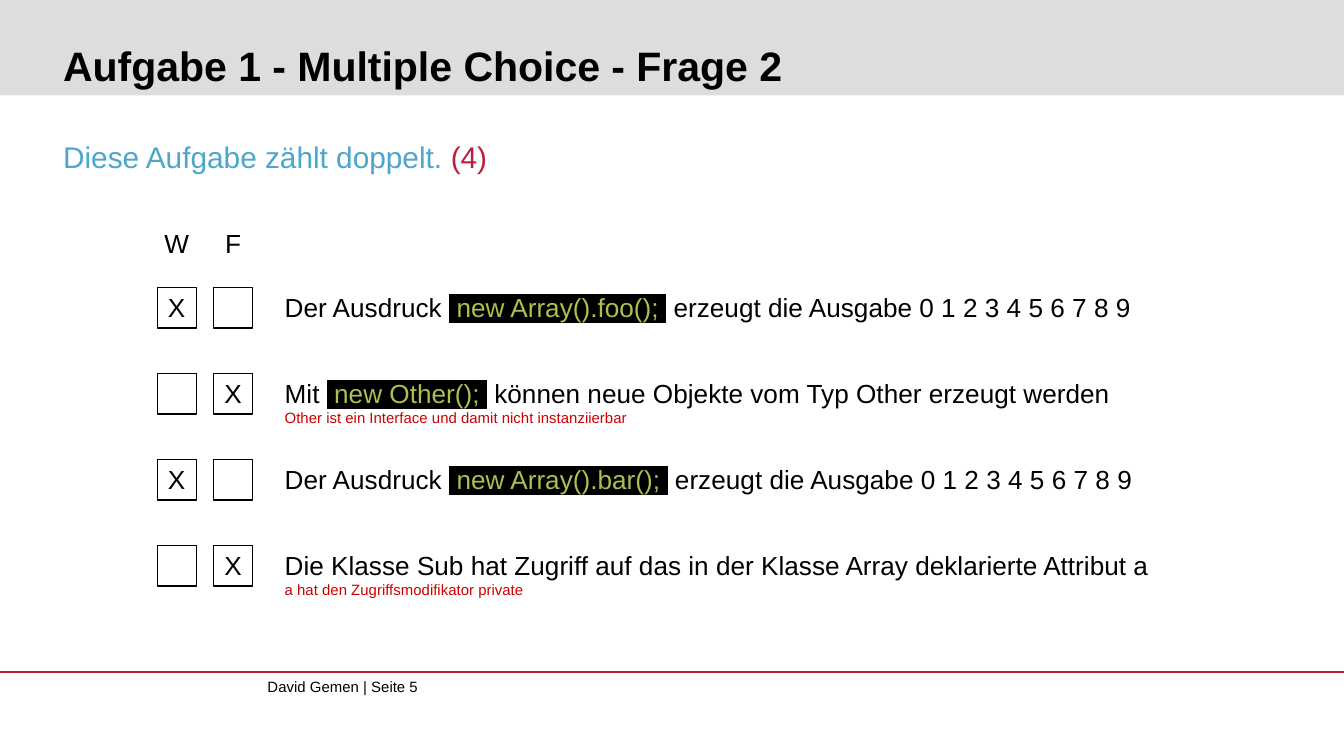
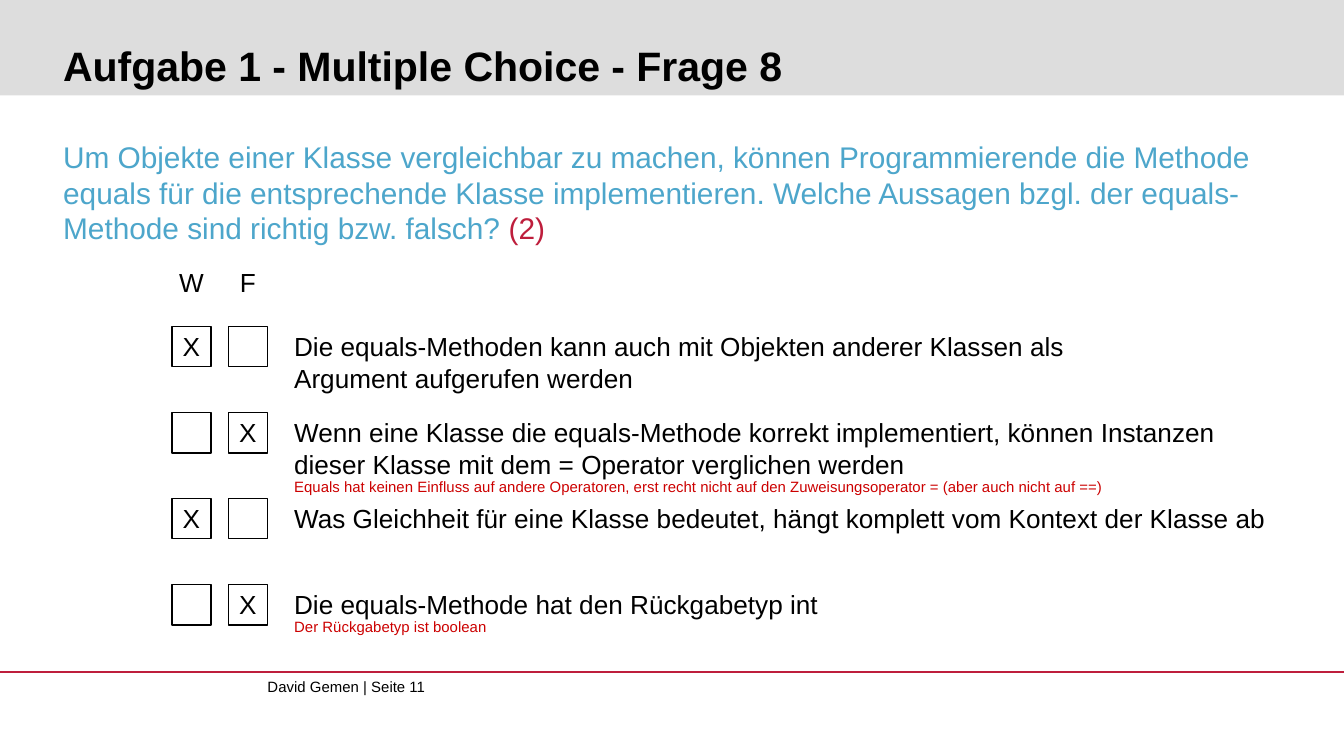
from dataclasses import dataclass

from lxml import etree
from pptx import Presentation
from pptx.dml.color import RGBColor
from pptx.enum import shapes, text
from pptx.oxml import ns
from pptx.util import Inches, Pt

FONT = "Arial"
BLACK = RGBColor(0x00, 0x00, 0x00)
BAND_GREY = RGBColor(0xDD, 0xDD, 0xDD)
CRIMSON = RGBColor(0xBE, 0x1E, 0x3C)
SKY = RGBColor(0x4D, 0xA6, 0xCB)
CODE_GREEN = RGBColor(0xAD, 0xBF, 0x4D)
NOTE_RED = RGBColor(0xCC, 0x00, 0x00)

PAGE_WIDTH = Inches(10)
PAGE_HEIGHT = PAGE_WIDTH * 9 // 16
ROW_STEP = 0.64
COLUMN_STEP = 0.42
BOX_WIDTH, BOX_HEIGHT = 0.29, 0.3


@dataclass(frozen=True)
class Span:
    text: str
    color: RGBColor = BLACK
    marked: bool = False


@dataclass(frozen=True)
class Answer:
    spans: list[Span]
    correct: bool
    width: float
    height: float = 0.44
    note: str = ""
    note_offset: float = 0.26


@dataclass(frozen=True)
class Question:
    number: int
    page_number: int
    prompt: str
    points: int
    box_left: float
    text_left: float
    first_row: float
    note_width: float
    answers: list[Answer]


def code(source: str) -> Span:
    return Span(f" {source} ", CODE_GREEN, True)


QUESTIONS = [
    Question(2, 5, "Diese Aufgabe zählt doppelt. ", 4, 1.17, 2.02, 2.07, 4.07, [
        Answer([Span("Der Ausdruck "), code("new Array().foo();"),
                Span(" erzeugt die Ausgabe 0 1 2 3 4 5 6 7 8 9")], True, 6.77),
        Answer([Span("Mit "), code("new Other();"),
                Span(" können neue Objekte vom Typ Other erzeugt werden")],
               False, 6.47,
               note="Other ist ein Interface und damit nicht instanziierbar"),
        Answer([Span("Der Ausdruck "), code("new Array().bar();"),
                Span(" erzeugt die Ausgabe 0 1 2 3 4 5 6 7 8 9")], True, 6.77),
        Answer([Span("Die Klasse Sub hat Zugriff auf das in der Klasse Array "
                     "deklarierte Attribut a")], False, 6.94,
               note="a hat den Zugriffsmodifikator private"),
    ]),
    Question(8, 11, "Um Objekte einer Klasse vergleichbar zu machen, können "
             "Programmierende die Methode equals für die entsprechende Klasse "
             "implementieren. Welche Aussagen bzgl. der equals-Methode sind "
             "richtig bzw. falsch? ", 2, 1.28, 2.09, 2.36, 7.08, [
        Answer([Span("Die equals-Methoden kann auch mit Objekten anderer "
                     "Klassen als Argument aufgerufen werden")],
               True, 6.77, 0.67),
        Answer([Span("Wenn eine Klasse die equals-Methode korrekt "
                     "implementiert, können Instanzen dieser Klasse mit dem "
                     "= Operator verglichen werden")], False, 7.3, 0.67,
               "Equals hat keinen Einfluss auf andere Operatoren, erst recht "
               "nicht auf den Zuweisungsoperator = (aber auch nicht auf ==)",
               0.49),
        Answer([Span("Was Gleichheit für eine Klasse bedeutet, hängt komplett "
                     "vom Kontext der Klasse ab")], True, 7.54),
        Answer([Span("Die equals-Methode hat den Rückgabetyp int")],
               False, 6.94, note="Der Rückgabetyp ist boolean",
               note_offset=0.25),
    ]),
]


def write_spans(para, spans: list[Span], size: float, bold: bool = False) -> None:
    for span in spans:
        run = para.add_run()
        run.text = span.text
        run.font.size = Pt(size)
        run.font.bold = bold
        run.font.name = FONT
        run.font.color.rgb = span.color
        if span.marked:
            highlight = etree.Element(ns.qn("a:highlight"))
            etree.SubElement(highlight, ns.qn("a:srgbClr"), val=str(BLACK))
            run._r.rPr.find(ns.qn("a:solidFill")).addnext(highlight)


def set_frame(frame, inset: float) -> None:
    frame.word_wrap = True
    frame.margin_left = frame.margin_right = Inches(inset)
    frame.margin_top = frame.margin_bottom = Inches(inset)


def add_text(page, left: float, top: float, width: float, height: float,
             spans: list[Span], size: float = 14, inset: float = 0.1,
             align=text.PP_ALIGN.LEFT) -> None:
    box = page.shapes.add_textbox(Inches(left), Inches(top),
                                  Inches(width), Inches(height))
    set_frame(box.text_frame, inset)
    box.text_frame.auto_size = text.MSO_AUTO_SIZE.SHAPE_TO_FIT_TEXT
    para = box.text_frame.paragraphs[0]
    para.alignment = align
    write_spans(para, spans, size)


def add_centred(page, label: str, centre: float, top: float, width: float) -> None:
    add_text(page, centre - width / 2, top, width, 0.44, [Span(label)],
             align=text.PP_ALIGN.CENTER)


def fill_placeholder(box, top: float, height: float, spans: list[Span],
                     size: float, anchor, bold: bool = False):
    box.left, box.top = Inches(0.47), Inches(top)
    box.width, box.height = Inches(9.16), Inches(height)
    frame = box.text_frame
    set_frame(frame, 0)
    frame.auto_size = text.MSO_AUTO_SIZE.NONE
    frame.vertical_anchor = anchor
    para = frame.paragraphs[0]
    para.alignment = text.PP_ALIGN.LEFT
    para.space_before = Pt(0)
    write_spans(para, spans, size, bold)
    return para


def add_checkbox(page, left: float, top: float) -> None:
    box = page.shapes.add_shape(shapes.MSO_SHAPE.RECTANGLE, Inches(left),
                                Inches(top), Inches(BOX_WIDTH), Inches(BOX_HEIGHT))
    box.shadow.inherit = False
    box.fill.background()
    box.line.color.rgb = BLACK
    box.line.width = Pt(0.75)


def dress_layout(page) -> None:
    """Draw the band and the footer rule, then hand them to the layout."""
    band = page.shapes.add_shape(shapes.MSO_SHAPE.RECTANGLE, 0, 0,
                                 PAGE_WIDTH, Inches(0.71))
    band.shadow.inherit = False
    band.fill.solid()
    band.fill.fore_color.rgb = BAND_GREY
    band.line.fill.background()
    rule = page.shapes.add_connector(shapes.MSO_CONNECTOR.STRAIGHT, 0, Inches(5),
                                     PAGE_WIDTH, Inches(5))
    rule.line.color.rgb = CRIMSON
    rule.line.width = Pt(0.75)
    etree.SubElement(rule.element.spPr, ns.qn("a:effectLst"))
    for shape in (band, rule):
        page.slide_layout.shapes.element.insert(2, shape.element)


def add_question(page, question: Question) -> None:
    # Title, prompt and footer
    fill_placeholder(page.shapes.title, 0.09, 0.58,
                     [Span(f"Aufgabe 1 - Multiple Choice - Frage {question.number}")],
                     22, text.MSO_ANCHOR.BOTTOM, bold=True)
    prompt = fill_placeholder(page.placeholders[1], 1.03, 0.34,
                              [Span(question.prompt, SKY),
                               Span(f"({question.points})", CRIMSON)],
                              16, text.MSO_ANCHOR.TOP)
    properties = prompt._p.get_or_add_pPr()
    properties.set("marL", "0")
    properties.set("indent", "0")
    etree.SubElement(properties, ns.qn("a:buNone"))
    add_text(page, 1.99, 5.04, 4.22, 0.27,
             [Span(f"David Gemen | Seite {question.page_number}")], 8, inset=0)

    # Column heads
    lefts = [question.box_left + column * COLUMN_STEP for column in range(2)]
    centres = [left + BOX_WIDTH / 2 for left in lefts]
    for label, centre in zip("WF", centres):
        add_centred(page, label, centre, question.first_row - 0.48, 0.41)

    # Answers with their boxes, crosses and notes
    for row, answer in enumerate(question.answers):
        top = question.first_row + row * ROW_STEP
        add_text(page, question.text_left, top, answer.width, answer.height,
                 answer.spans)
        for left in lefts:
            add_checkbox(page, left, top + 0.07)
        add_centred(page, "X", centres[0 if answer.correct else 1], top, 0.36)
        if answer.note:
            add_text(page, question.text_left, top + answer.note_offset,
                     question.note_width, 0.34, [Span(answer.note, NOTE_RED)], 8)


def main() -> None:
    deck = Presentation()
    deck.slide_width, deck.slide_height = PAGE_WIDTH, PAGE_HEIGHT
    layout = deck.slide_layouts[1]
    for index, question in enumerate(QUESTIONS):
        page = deck.slides.add_slide(layout)
        if index == 0:
            dress_layout(page)
        add_question(page, question)
    deck.save("out.pptx")


if __name__ == "__main__":
    main()
